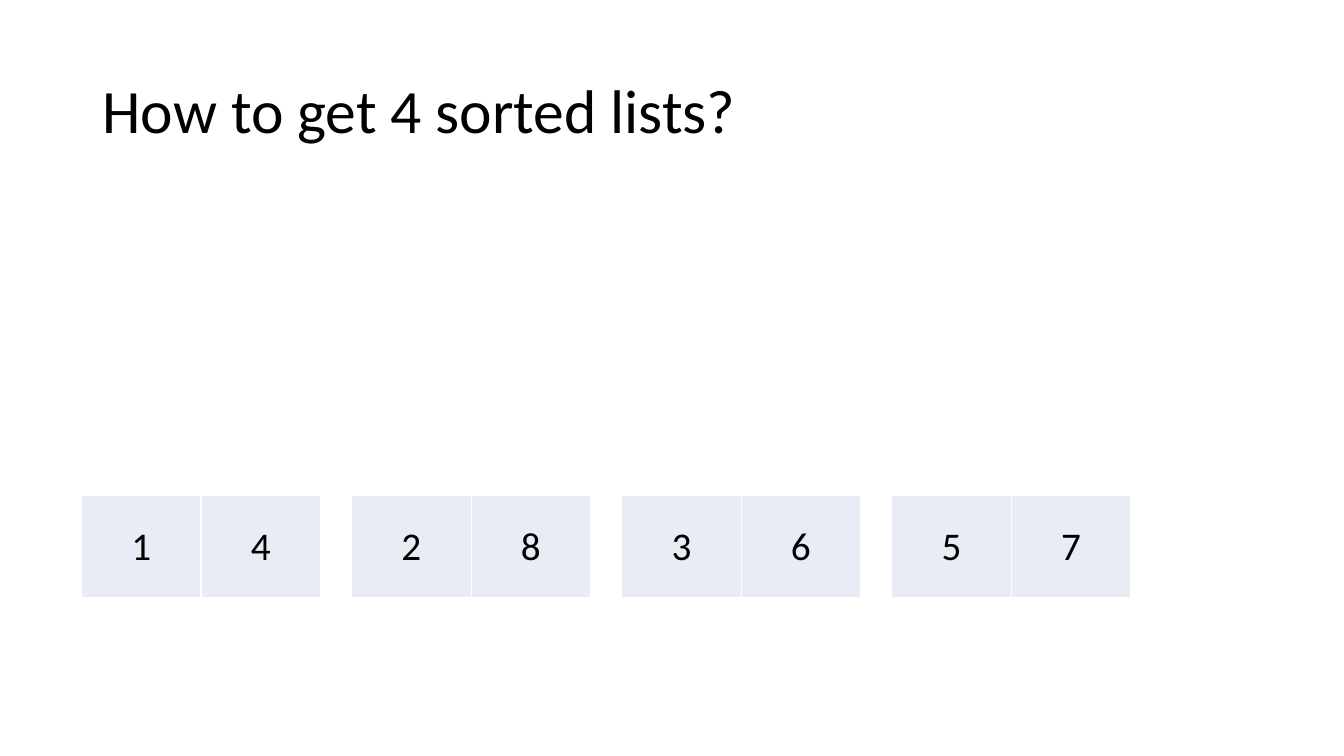
"""Build a slide that shows four sorted lists of two numbers each."""
from lxml import etree
from pptx import Presentation
from pptx.dml.color import RGBColor
from pptx.enum.text import MSO_ANCHOR, MSO_AUTO_SIZE, PP_ALIGN
from pptx.oxml.ns import qn
from pptx.util import Pt

LEFT, CENTER = PP_ALIGN.LEFT, PP_ALIGN.CENTER
MIDDLE = MSO_ANCHOR.MIDDLE
NO_FIT = MSO_AUTO_SIZE.NONE

TITLE = "How to get 4 sorted lists?"
LISTS = [(1, 4), (2, 8), (3, 6), (5, 7)]

THEME = {
    "font": "Calibri",
    "ink": "000000",
    "cell": "E9EBF5",
    "edge": "FFFFFF",
    "title": 44,
    "digit": 28,
}
SIZE = (960, 540)
HEAD = {"left": 66, "top": 28.8, "width": 828, "height": 104.4}
GRID = {"left": 58.3, "top": 354.2, "step": 192.9, "col": 85.3, "row": 72.7}
PLAIN = {"first_row": False, "horz_banding": False}


def put(item, values):
    for name, value in values.items():
        setattr(item, name, value)


def write(frame, text, size, align):
    para = frame.paragraphs[0]
    para.alignment = align
    run = para.add_run()
    run.text = text
    put(run.font, {"name": THEME["font"], "size": Pt(size), "bold": False})
    run.font.color.rgb = RGBColor.from_string(THEME["ink"])
    return para


def edge(cell):
    props = cell._tc.get_or_add_tcPr()
    for spot, side in enumerate(("lnL", "lnR", "lnT", "lnB")):
        line = etree.Element(qn(f"a:{side}"), w=str(Pt(1)))
        fill = etree.SubElement(line, qn("a:solidFill"))
        etree.SubElement(fill, qn("a:srgbClr"), val=THEME["edge"])
        props.insert(spot, line)


def add_title(slide):
    title = slide.shapes.title
    put(title, {name: Pt(value) for name, value in HEAD.items()})
    frame = title.text_frame
    put(frame, {"vertical_anchor": MIDDLE, "word_wrap": True, "auto_size": NO_FIT})
    write(frame, TITLE, THEME["title"], LEFT).line_spacing = 0.9


def add_list(slide, index, digits):
    left = GRID["left"] + index * GRID["step"]
    width = GRID["col"] * len(digits)
    box = (left, GRID["top"], width, GRID["row"])
    table = slide.shapes.add_table(1, len(digits), *map(Pt, box)).table
    put(table, PLAIN)
    for col, digit in enumerate(digits):
        table.columns[col].width = Pt(GRID["col"])
        cell = table.cell(0, col)
        cell.vertical_anchor = MIDDLE
        cell.fill.solid()
        cell.fill.fore_color.rgb = RGBColor.from_string(THEME["cell"])
        edge(cell)
        write(cell.text_frame, str(digit), THEME["digit"], CENTER)


def main():
    deck = Presentation()
    deck.slide_width, deck.slide_height = map(Pt, SIZE)
    slide = deck.slides.add_slide(deck.slide_layouts[5])
    add_title(slide)
    for index, digits in enumerate(LISTS):
        add_list(slide, index, digits)
    deck.save("out.pptx")


if __name__ == "__main__":
    main()
